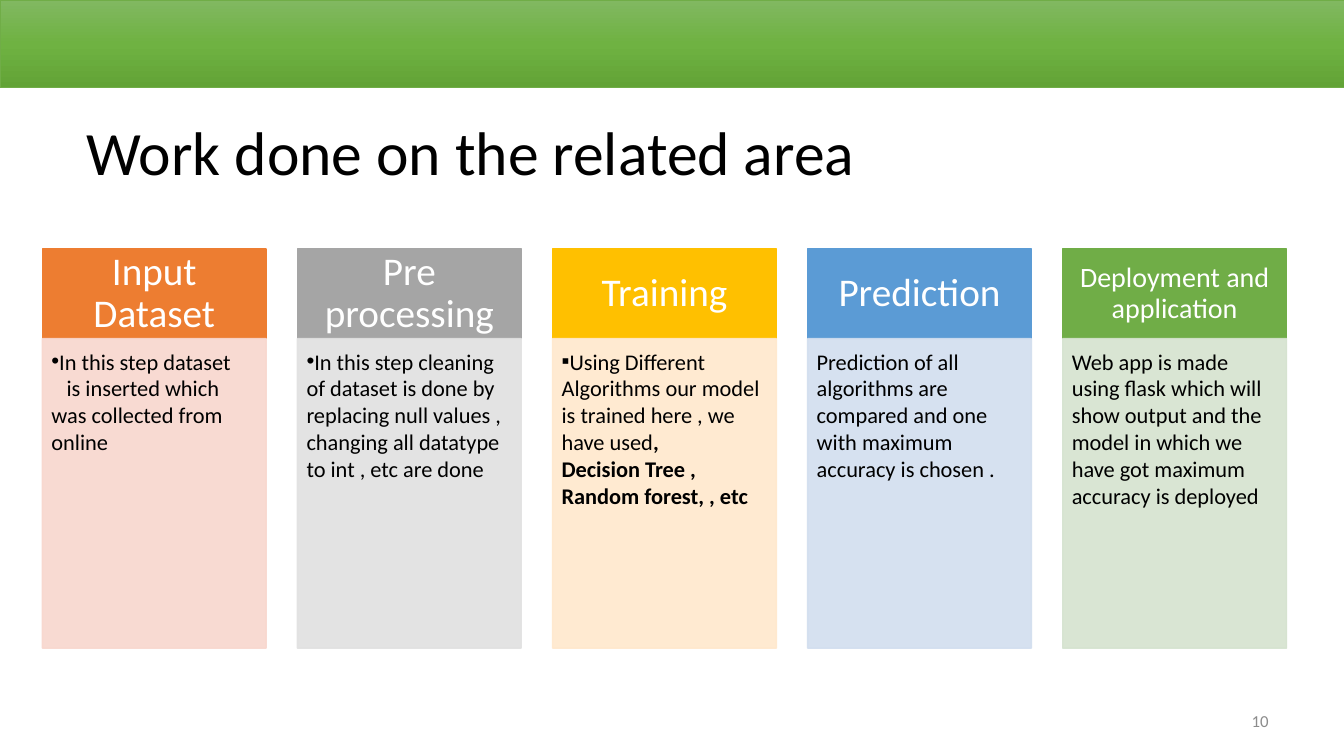
from copy import deepcopy
from dataclasses import dataclass

from lxml import etree
from pptx import Presentation
from pptx.dml.color import RGBColor
from pptx.enum.shapes import MSO_SHAPE
from pptx.enum.text import MSO_ANCHOR, PP_ALIGN
from pptx.oxml.ns import qn
from pptx.util import Inches, Pt

RECTANGLE = MSO_SHAPE.RECTANGLE
TOP, MIDDLE = MSO_ANCHOR.TOP, MSO_ANCHOR.MIDDLE
LEFT, CENTER, RIGHT = PP_ALIGN.LEFT, PP_ALIGN.CENTER, PP_ALIGN.RIGHT


@dataclass(frozen=True)
class Theme:
    """Hold the colours and type sizes of the slide."""
    font: str = "Calibri"
    ink: str = "000000"
    white: str = "FFFFFF"
    muted: str = "8C8C8C"
    banner_line: str = "70AD47"
    banner_stops: tuple = ((0, "81B861"), (0.5, "6FB242"), (1, "62A336"))
    title_size: int = 44
    heading_size: int = 28
    small_heading_size: int = 20
    body_size: int = 16
    number_size: int = 12


@dataclass(frozen=True)
class Step:
    """Describe one column: body paragraphs are lists of (text, bold) runs."""
    heading: str
    dark: str
    light: str
    body: tuple
    bullet: str = ""
    size: int = Theme.heading_size
    insets: tuple = (0.22, 0.12, 0.22, 0.12)


THEME = Theme()
CARD_LEFT, CARD_PITCH, CARD_WIDTH = 0.42, 2.53, 2.22
HEADING_TOP, HEADING_HEIGHT, BODY_HEIGHT = 2.47, 0.89, 3.07
BODY_INSETS = (0.09, 0.09, 0.12, 0.14)
BULLET_INDENT, CONTINUED_INDENT = -0.19, 0.15

STEPS = (
    Step("Input Dataset", "ED7D31", "F8D7CE",
         ([("In this step dataset", False)],
          [("is inserted which was collected from online", False)]), "•"),
    Step("Pre processing", "A5A5A5", "E1E1E1",
         ([("In this step cleaning of dataset is done by replacing null values , "
            "changing all datatype to int , etc are done", False)],), "•"),
    Step("Training", "FFC000", "FFE8CC",
         ([("Using Different Algorithms our model is trained here , we have used", False),
           (",\vDecision Tree , Random forest, , etc", True)],), "▪"),
    Step("Prediction", "5B9BD5", "D2DEEF",
         ([("Prediction of all algorithms are compared and one with maximum "
            "accuracy is chosen .", False)],)),
    Step("Deployment and application", "70AD47", "D5E3CF",
         ([("Web app is made using flask which will show output and the model in "
            "which we have got maximum accuracy is deployed", False)],),
         size=THEME.small_heading_size, insets=(0.16, 0.09, 0.16, 0.09)),
)


def add_span(para, text, size, color, bold=False):
    """Add text to a paragraph, turning vertical tabs into line breaks."""
    for index, line in enumerate(text.split("\v")):
        if index:
            para.add_line_break()
        span = para.add_run()
        span.text = line
        span.font.name = THEME.font
        span.font.size = Pt(size)
        span.font.bold = bold
        span.font.color.rgb = RGBColor.from_string(color)


def set_frame(box, insets, anchor):
    """Wrap a box's text and set its margins and anchor."""
    frame = box.text_frame
    frame.word_wrap = True
    frame.vertical_anchor = anchor
    (frame.margin_left, frame.margin_top,
     frame.margin_right, frame.margin_bottom) = map(Inches, insets)
    return frame


def add_panel(page, left, top, width, height, line, line_width):
    """Add a rectangle without shadow and with a coloured outline."""
    box = page.shapes.add_shape(RECTANGLE, *map(Inches, (left, top, width, height)))
    box.shadow.inherit = False
    box.line.color.rgb = RGBColor.from_string(line)
    box.line.width = Pt(line_width)
    return box


def set_opacity(box, percent):
    """Make every solid colour of a box partly transparent."""
    for color in box._element.spPr.iter(qn("a:srgbClr")):
        etree.SubElement(color, qn("a:alpha"), val=str(percent * 1000))


def set_bullet(para, symbol, indent):
    """Give a paragraph a first-line indent and an optional bullet."""
    props = para._p.get_or_add_pPr()
    props.set("marL", "0")
    props.set("indent", str(Inches(indent)))
    if symbol:
        etree.SubElement(props, qn("a:buFont"), typeface="Arial")
        etree.SubElement(props, qn("a:buChar"), char=symbol)
    else:
        etree.SubElement(props, qn("a:buNone"))


def add_heading(page, step, left):
    """Add the coloured heading of a step."""
    box = add_panel(page, left, HEADING_TOP, CARD_WIDTH, HEADING_HEIGHT, step.dark, 1)
    box.fill.solid()
    box.fill.fore_color.rgb = RGBColor.from_string(step.dark)
    para = set_frame(box, step.insets, MIDDLE).paragraphs[0]
    para.alignment = CENTER
    para.line_spacing = 0.9
    add_span(para, step.heading, step.size, THEME.white)


def add_body(page, step, left):
    """Add the pale text panel of a step."""
    box = add_panel(page, left, HEADING_TOP + HEADING_HEIGHT,
                    CARD_WIDTH, BODY_HEIGHT, step.light, 1)
    box.fill.solid()
    box.fill.fore_color.rgb = RGBColor.from_string(step.light)
    set_opacity(box, 90)
    frame = set_frame(box, BODY_INSETS, TOP)
    for index, spans in enumerate(step.body):
        para = frame.add_paragraph() if index else frame.paragraphs[0]
        para.alignment = LEFT
        if index:
            set_bullet(para, "", CONTINUED_INDENT)
        else:
            set_bullet(para, step.bullet, BULLET_INDENT if step.bullet else 0)
        for text, bold in spans:
            add_span(para, text, THEME.body_size, THEME.ink, bold)


def add_banner(page, width):
    """Add the green gradient band across the top."""
    box = add_panel(page, 0, 0, width, 0.87, THEME.banner_line, 0.5)
    box.fill.gradient()
    box.fill.gradient_angle = 270
    stop_list = box._element.spPr.find(".//" + qn("a:gsLst"))
    stop_list.append(deepcopy(stop_list[0]))
    for stop, (position, color) in zip(box.fill.gradient_stops, THEME.banner_stops):
        stop.position = position
        stop.color.rgb = RGBColor.from_string(color)


def set_title(page, text):
    """Place and format the title placeholder."""
    title = page.shapes.title
    title.left, title.top, title.width, title.height = map(
        Inches, (0.76, 0.97, 11.81, 1.15))
    para = set_frame(title, (0.1, 0.05, 0.1, 0.05), MIDDLE).paragraphs[0]
    para.alignment = LEFT
    para.line_spacing = 0.9
    add_span(para, text, THEME.title_size, THEME.ink)


def add_page_number(page, text):
    """Add the page number at the lower right."""
    box = page.shapes.add_textbox(*map(Inches, (11.94, 6.95, 0.74, 0.4)))
    para = set_frame(box, (0.1, 0.05, 0.1, 0.05), MIDDLE).paragraphs[0]
    para.alignment = RIGHT
    add_span(para, text, THEME.number_size, THEME.muted)


def main():
    """Build the slide and save the deck."""
    deck = Presentation()
    deck.slide_width, deck.slide_height = Inches(13.33), Inches(7.5)
    page = deck.slides.add_slide(deck.slide_layouts[5])
    set_title(page, "Work done on the related area")
    for index, step in enumerate(STEPS):
        left = CARD_LEFT + index * CARD_PITCH
        add_heading(page, step, left)
        add_body(page, step, left)
    add_page_number(page, "10")
    add_banner(page, 13.33)
    deck.save("out.pptx")


if __name__ == "__main__":
    main()
